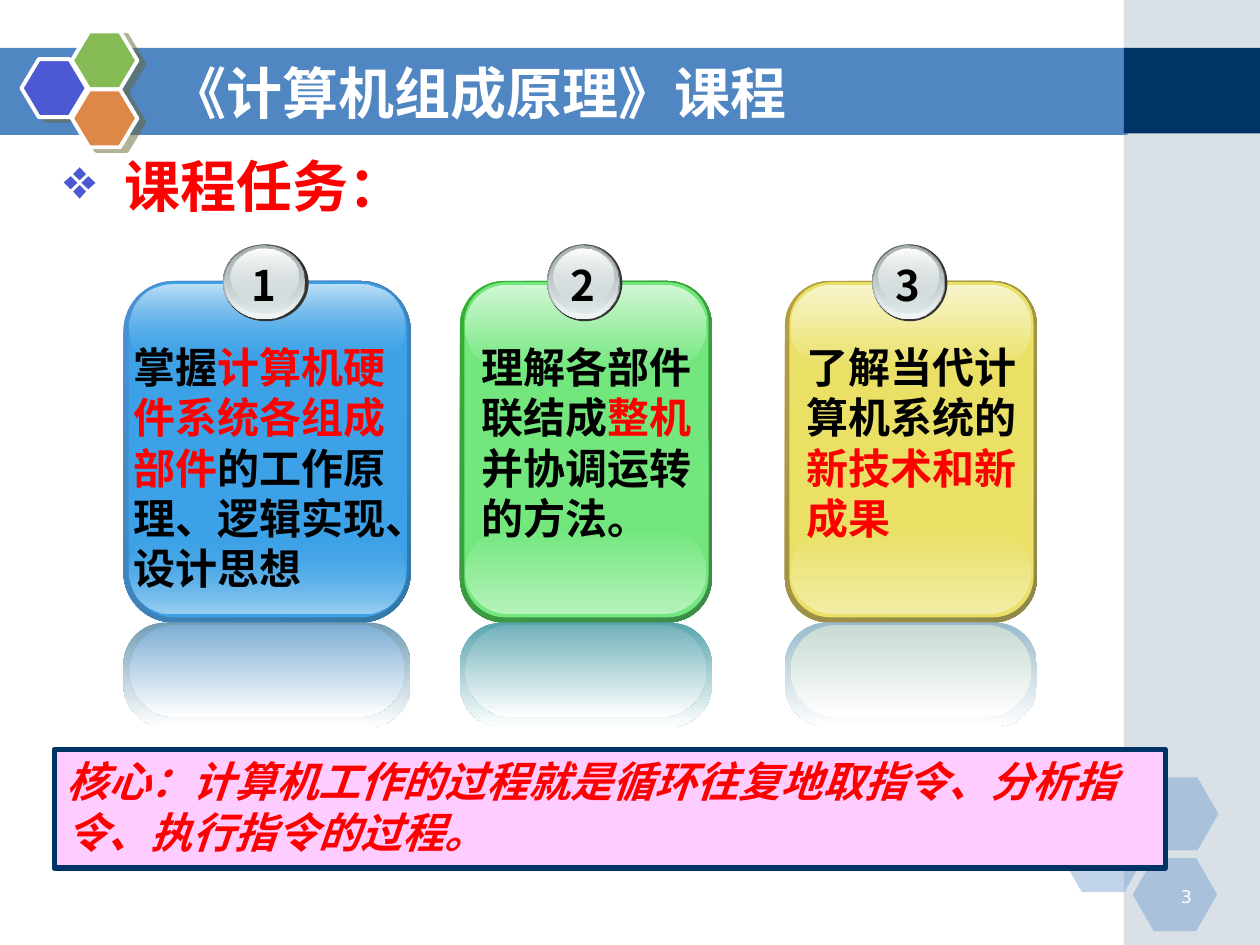
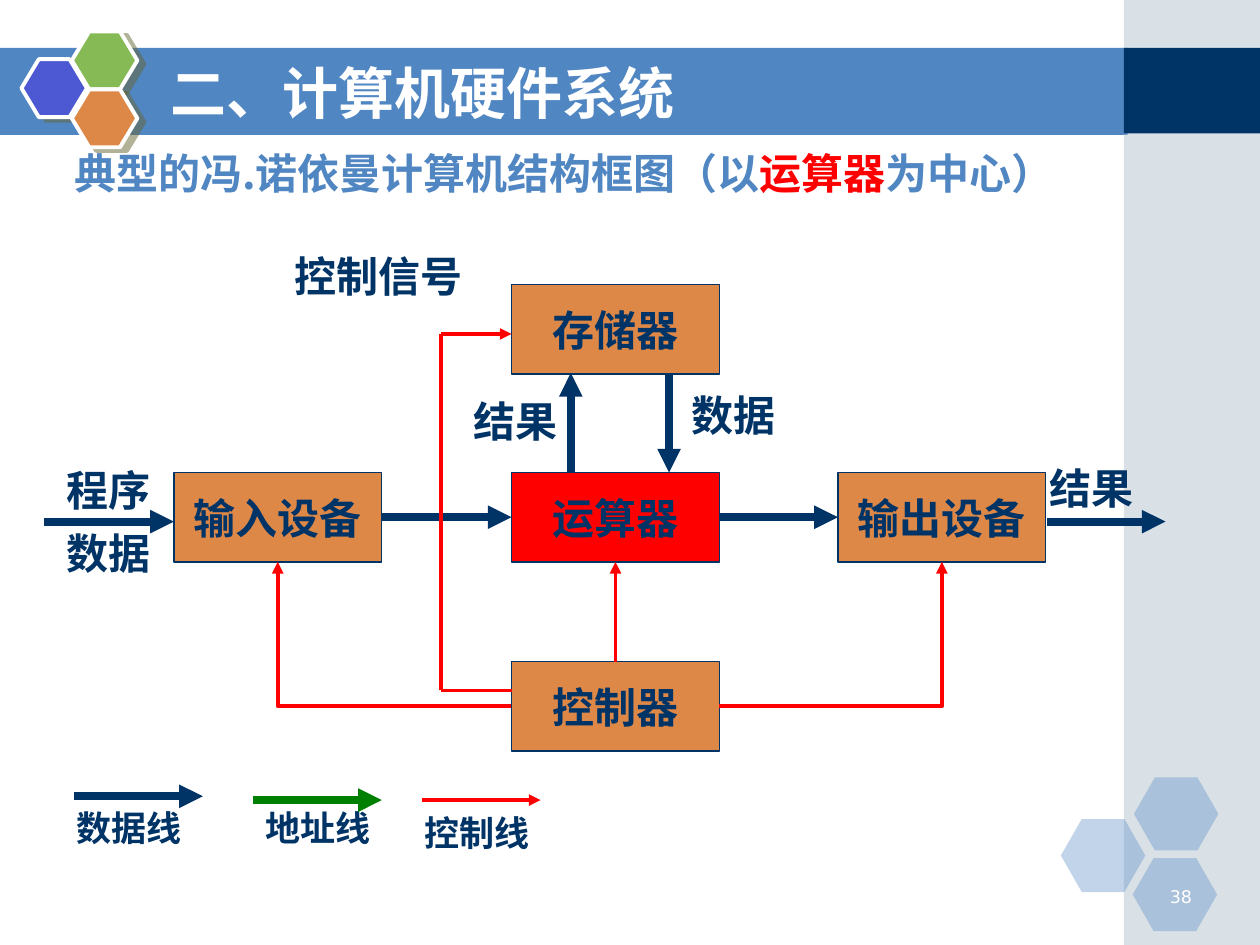
from lxml import etree
from pptx import Presentation
from pptx.dml.color import RGBColor
from pptx.enum.shapes import MSO_CONNECTOR, MSO_SHAPE
from pptx.enum.text import MSO_ANCHOR, MSO_AUTO_SIZE, PP_ALIGN
from pptx.oxml.ns import qn
from pptx.util import Inches, Pt

RECTANGLE, ROUNDED = MSO_SHAPE.RECTANGLE, MSO_SHAPE.ROUNDED_RECTANGLE
OVAL, HEXAGON = MSO_SHAPE.OVAL, MSO_SHAPE.HEXAGON
STRAIGHT, ELBOW = MSO_CONNECTOR.STRAIGHT, MSO_CONNECTOR.ELBOW
TOP, MIDDLE = MSO_ANCHOR.TOP, MSO_ANCHOR.MIDDLE
LEFT, CENTER, RIGHT = PP_ALIGN.LEFT, PP_ALIGN.CENTER, PP_ALIGN.RIGHT
NO_AUTOFIT = MSO_AUTO_SIZE.NONE

SANS, SERIF, NUMERAL = "Noto Sans CJK SC", "Times New Roman", "DejaVu Sans"
BLUE, NAVY, ORANGE, INDIGO = "5086C2", "003366", "DE8848", "4C59D2"
RED, GREEN, BLACK, WHITE = "FF0000", "008000", "000000", "FFFFFF"

PALE_HEXAGONS = [(8.42, 6.5), (9, 6.17), (8.99, 6.81)]
EMBLEM_HEXAGONS = [(0.17, 0.47, INDIGO), (0.57, 0.25, "85BA54"), (0.57, 0.71, ORANGE)]

TASK_CARDS = [
    dict(left=0.98, width=2.28, inset=0, rim=("4E91D4", "3477A4"), base="3CA1E6",
         fade="3CA1E6@0", low="9BCFF2", high="BEE0F7", mirror=("729EB4", "7DAFD4"),
         text=[("掌握", BLACK), ("计算机硬件系统各组成部件", RED),
               ("的工作原理、逻辑实现、设计思想", BLACK)]),
    dict(left=3.65, width=2, inset=0.1, rim=("34B034", "3F8B4A"), base="73E77E",
         fade="73E77E", low="B3F2B9", high="D0F7D4", mirror=("58A4AE", "72B2BB"),
         text=[("理解各部件联结成", BLACK), ("整机", RED), ("并协调运转的方法。", BLACK)]),
    dict(left=6.23, width=2, inset=0.1, rim=("B59F43", "8F8849"), base="E9E065",
         fade="E9E065", low="F2EDA6", high="F8F5CC", mirror=("99BACC", "C8DAD4"),
         text=[("了解当代计算机系统的", BLACK), ("新技术和新成果", RED)]),
]
CARD_WIDTH = 2.28
BADGE_LAYERS = [
    (0.79, 1.94, 0.68, 0.61, ["333333"]),
    (0.79, 1.94, 0.65, 0.59, ["636869", "D6E1E2"]),
    (0.8, 1.95, 0.64, 0.58, ["D6E1E2@0", "F1F5F5"]),
    (0.81, 1.95, 0.61, 0.54, ["AAB2B3", "D6E1E2@48"]),
    (0.85, 1.97, 0.54, 0.44, ["FFFFFF", "D6E1E2@38"]),
]
CORE_IDEA = "核心：计算机工作的过程就是循环往复地取指令、分析指令、执行指令的过程。"

DIAGRAM_HEADING = [("典型的冯.诺依曼计算机结构框图（以", BLUE), ("运算器", RED), ("为中心）", BLUE)]
UNIT_SIZE = (1.65, 0.71)
UNITS = [
    ("输入设备", 1.38, 3.75, ORANGE, SERIF),
    ("输出设备", 6.65, 3.75, ORANGE, SERIF),
    ("运算器", 4.06, 3.75, RED, SANS),
    ("存储器", 4.06, 2.26, ORANGE, SANS),
    ("控制器", 4.06, 5.25, ORANGE, SANS),
]
DATA_ARROWS = [
    (("输入设备", 3), ("运算器", 1)),
    (("运算器", 3), ("输出设备", 1)),
    ((0.35, 4.14), (1.38, 4.14)),
    ((8.31, 4.14), (9.25, 4.14)),
    ((4.53, 3.75), (4.53, 2.96)),
    ((5.31, 2.96), (5.31, 3.75)),
]
CONTROL_ELBOWS = [(("控制器", 3), ("输出设备", 2)), (("控制器", 1), ("输入设备", 2))]
MEMORY_CONTROL_ROUTE = [(4.06, 5.48), (3.5, 5.48), (3.5, 2.65), (4.06, 2.65)]
FLOW_LABELS = [
    ("程序", 0.43, 3.64, 1.02), ("数据", 0.43, 4.14, 1.02), ("结果", 8.23, 3.62, 1.02),
    ("数据", 5.39, 3.04, 1.02), ("结果", 3.66, 3.09, 1.02), ("控制信号", 2.24, 1.94, 1.65),
]
LEGEND = [
    ("数据线", 0.51, 6.35, 1.1, (0.59, 6.32), (1.61, 6.32), NAVY, 4.5),
    ("地址线", 2.01, 6.35, 1.18, (2.01, 6.35), (3.03, 6.35), GREEN, 4.5),
    ("控制线", 3.27, 6.39, 1.18, (3.35, 6.35), (4.29, 6.35), RED, 2.25),
]


def rgb(colour):
    return RGBColor.from_string(colour.split("@")[0])


def paint(shape, colours, angle=90):
    if len(colours) == 1:
        shape.fill.solid()
        shape.fill.fore_color.rgb = rgb(colours[0])
    else:
        shape.fill.gradient()
        shape.fill.gradient_angle = 360 - angle
        for stop, position, colour in zip(shape.fill.gradient_stops, (0, 1), colours):
            stop.position = position
            stop.color.rgb = rgb(colour)
    for node, colour in zip(shape.element.spPr.iter(qn("a:srgbClr")), colours):
        if "@" in colour:
            alpha = int(colour.split("@")[1]) * 1000
            etree.SubElement(node, qn("a:alpha"), val=str(alpha))


def add_figure(page, kind, area, colours, angle=90, line=None, line_width=1, adjust=None):
    shape = page.shapes.add_shape(kind, *map(Inches, area))
    shape.shadow.inherit = False
    paint(shape, colours, angle)
    if adjust is not None:
        shape.adjustments[0] = adjust
    if line:
        shape.line.color.rgb = rgb(line)
        shape.line.width = Pt(line_width)
    else:
        shape.line.fill.background()
    return shape


def write(shape, text, size=24, font=SANS, colour=NAVY, bold=True, italic=False, align=LEFT,
          anchor=TOP, wrap=True, inset=0.1, spacing=None, bullet=None):
    frame = shape.text_frame
    frame.auto_size = NO_AUTOFIT
    frame.word_wrap = wrap
    frame.vertical_anchor = anchor
    frame.margin_left = frame.margin_right = Inches(inset)
    frame.margin_top = frame.margin_bottom = Inches(0.05)
    para = frame.paragraphs[0]
    if bullet:
        properties = para._p.get_or_add_pPr()
        properties.set("marL", str(Inches(0.48)))
        properties.set("indent", str(-Inches(0.48)))
        bullet_colour = etree.SubElement(properties, qn("a:buClr"))
        etree.SubElement(bullet_colour, qn("a:srgbClr"), val=INDIGO)
        etree.SubElement(properties, qn("a:buChar"), char=bullet)
    para.alignment = align
    if spacing:
        para.line_spacing = spacing
    for words, tone in [(text, colour)] if isinstance(text, str) else text:
        span = para.add_run()
        span.text = words
        span.font.name = font
        span.font.size = Pt(size)
        span.font.bold = bold
        span.font.italic = italic
        span.font.color.rgb = rgb(tone)
    for properties in shape.element.iter(qn("a:rPr")):
        etree.SubElement(properties, qn("a:ea"), typeface=SANS)


def add_text(page, area, text, **style):
    write(page.shapes.add_textbox(*map(Inches, area)), text, **style)


def add_line(page, start, end, colour, width, units=None, kind=STRAIGHT, arrow=True):
    points = [(0, 0) if isinstance(place[0], str) else place for place in (start, end)]
    connector = page.shapes.add_connector(kind, *(Inches(v) for point in points for v in point))
    for place, join in ((start, connector.begin_connect), (end, connector.end_connect)):
        if isinstance(place[0], str):
            join(units[place[0]], place[1])
    connector.line.color.rgb = rgb(colour)
    connector.line.width = Pt(width)
    properties = connector.element.spPr
    if kind == ELBOW:
        properties.find(qn("a:prstGeom")).set("prst", "bentConnector2")
    if arrow:
        etree.SubElement(properties.find(qn("a:ln")), qn("a:tailEnd"), type="triangle")
    etree.SubElement(properties, qn("a:effectLst"))


def add_hard_shadow(shape):
    effects = shape.element.spPr.find(qn("a:effectLst"))
    shadow = etree.SubElement(effects, qn("a:outerShdw"), blurRad="0", dist=str(Pt(4.5)),
                              dir=str(27 * 60000), algn="ctr", rotWithShape="0")
    tone = etree.SubElement(shadow, qn("a:srgbClr"), val="666633")
    etree.SubElement(tone, qn("a:alpha"), val="50000")


def add_page(deck, title, number):
    page = deck.slides.add_slide(deck.slide_layouts[5])
    add_figure(page, RECTANGLE, (0, 0.38, 8.95, 0.69), [BLUE])
    add_figure(page, RECTANGLE, (8.92, 0, 1.08, 7.5), ["A0B5C4@40"])
    add_figure(page, RECTANGLE, (8.92, 0.38, 1.08, 0.68), [NAVY])
    for left, top in PALE_HEXAGONS:
        add_figure(page, HEXAGON, (left, top, 0.67, 0.58), [BLUE + "@35"], adjust=0.286)
    for left, top, colour in EMBLEM_HEXAGONS:
        add_hard_shadow(add_figure(page, HEXAGON, (left, top, 0.52, 0.46), [colour],
                                   line=WHITE, line_width=2.25, adjust=0.3))
    add_text(page, (9.06, 6.98, 0.5, 0.25), number, size=10, font=NUMERAL, colour=WHITE,
             bold=False, align=RIGHT)
    heading = page.shapes.title
    heading.left, heading.top, heading.width, heading.height = map(
        Inches, (1.25, 0.42, 7.33, 0.62))
    write(heading, title, size=32, colour=WHITE, anchor=MIDDLE)
    page.shapes.element.append(heading.element)
    return page


def add_card(page, number, card):
    scale = card["width"] / CARD_WIDTH

    def place(offset, top, width, height):
        return card["left"] + offset * scale, top, width * scale, height

    outer_mirror, inner_mirror = card["mirror"]
    layers = [
        ((0, 2.23, 2.28, 2.71), card["rim"], 45, 0.175),
        ((0.04, 2.24, 2.21, 2.66), [card["base"]], 90, 0.167),
        ((0.05, 4.2, 2.18, 0.67), [card["fade"], card["low"]], 90, 0.5),
        ((0.05, 2.26, 2.18, 0.67), [card["high"], card["fade"]], 90, 0.5),
        ((0, 4.94, 2.28, 0.83), [outer_mirror, WHITE], 90, 0.404),
        ((0.05, 4.96, 2.18, 0.73), [inner_mirror, WHITE], 90, 0.5),
    ]
    for area, colours, angle, adjust in layers:
        add_figure(page, ROUNDED, place(*area), colours, angle, adjust=adjust)
    for *area, colours in BADGE_LAYERS:
        add_figure(page, OVAL, place(*area), colours)
    add_text(page, place(0.93, 2.01, 0.37, 0.5), str(number), colour=BLACK, align=CENTER,
             wrap=False, inset=0, spacing=Pt(28.8))
    add_text(page, place(0.08, 2.66, 2.17, 2.12), card["text"], inset=card["inset"],
             spacing=Pt(28.8))


def build_tasks(deck):
    page = add_page(deck, "《计算机组成原理》课程", "3")
    add_text(page, (0.41, 1.15, 8.76, 4.88), "课程任务：", size=32, colour=RED, bullet="❖")
    for number, card in enumerate(TASK_CARDS, 1):
        add_card(page, number, card)
    core = add_figure(page, RECTANGLE, (0.43, 5.95, 8.82, 0.94), ["FFCCFF"],
                      line=NAVY, line_width=3)
    write(core, CORE_IDEA, colour=RED, italic=True, spacing=Pt(28.8))


def build_diagram(deck):
    page = add_page(deck, "二、计算机硬件系统", "38")
    add_text(page, (0.49, 1.2, 8.14, 0.57), DIAGRAM_HEADING, spacing=0.8)
    units = {}
    for name, left, top, colour, font in UNITS:
        units[name] = add_figure(page, RECTANGLE, (left, top, *UNIT_SIZE), [colour],
                                 line=NAVY, line_width=0.75)
        write(units[name], name, font=font, align=CENTER, anchor=MIDDLE, wrap=False)
    for start, end in DATA_ARROWS:
        add_line(page, start, end, NAVY, 4.5, units)
    for start, end in CONTROL_ELBOWS:
        add_line(page, start, end, RED, 2.25, units, kind=ELBOW)
    for start, end in zip(MEMORY_CONTROL_ROUTE, MEMORY_CONTROL_ROUTE[1:]):
        add_line(page, start, end, RED, 2.25, arrow=end == MEMORY_CONTROL_ROUTE[-1])
    add_line(page, ("控制器", 0), ("运算器", 2), RED, 2.25, units)
    for label, left, top, width in FLOW_LABELS:
        add_text(page, (left, top, width, 0.5), label, font=SERIF)
    for label, left, top, width, start, end, colour, weight in LEGEND:
        add_text(page, (left, top, width, 0.43), label, size=20, font=SERIF)
        add_line(page, start, end, colour, weight)


def main():
    deck = Presentation()
    deck.slide_width, deck.slide_height = Inches(10), Inches(7.5)
    build_tasks(deck)
    build_diagram(deck)
    deck.save("out.pptx")


if __name__ == "__main__":
    main()
